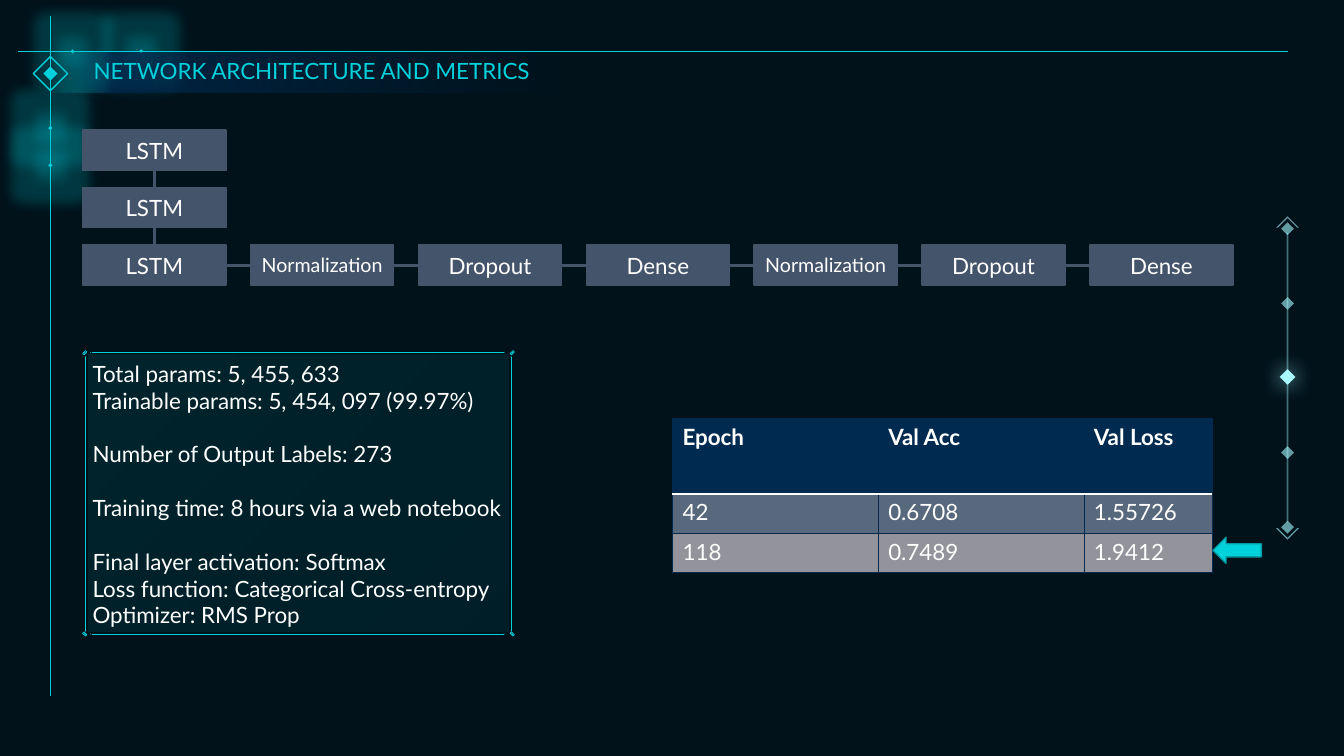
import pptx
import pptx.dml.color
import pptx.enum.shapes
import pptx.enum.text
import pptx.oxml
import pptx.oxml.ns
import pptx.util
from lxml import etree

Inches, Pt = pptx.util.Inches, pptx.util.Pt
qn = pptx.oxml.ns.qn
SHAPE = pptx.enum.shapes.MSO_SHAPE
ALIGN = pptx.enum.text.PP_ALIGN
ANCHOR = pptx.enum.text.MSO_ANCHOR

# Content
TITLE = "NETWORK ARCHITECTURE AND METRICS"
LSTM_STACK = ["LSTM", "LSTM", "LSTM"]
LAYER_CHAIN = ["Normalization", "Dropout", "Dense"] * 2
FACT_GROUPS = [
    ["Total params: 5, 455, 633", "Trainable params: 5, 454, 097 (99.97%)"],
    ["Number of Output Labels: 273"],
    ["Training time: 8 hours via a web notebook"],
    ["Final layer activation: Softmax",
     "Loss function: Categorical Cross-entropy",
     "Optimizer: RMS Prop"],
]
METRICS = [("Epoch", "Val Acc", "Val Loss"),
           ("42", "0.6708", "1.55726"),
           ("118", "0.7489", "1.9412")]
METRIC_COLUMNS = [2.04, 2.04, 1.27]
METRIC_ROWS = [0.75, 0.39, 0.39]

THEME = {
    "font": "Lato", "size": 16, "long_label_size": 14, "line_height": 19.2,
    "background": "01121B", "cyan": "00D2DB", "mark": "00D1DB", "ice": "A7F9FF",
    "layer": "44546A", "navy": "002A4F", "white": "FFFFFF", "text": "FEFFFE",
    "rows": ["002A4F", "58697D", "92939B"], "arrow_edge": "009BA2",
}

prs = pptx.Presentation()
prs.slide_width, prs.slide_height = Inches(13.33), Inches(7.5)
slide = prs.slides.add_slide(prs.slide_layouts[6])


def rgb(name):
    return pptx.dml.color.RGBColor.from_string(THEME.get(name, name))


def set_alpha(parent, percent):
    color = parent.find(".//" + qn("a:srgbClr"))
    etree.SubElement(color, qn("a:alpha"), val=str(percent * 1000))


def add_block(at, fill=None, line=None, width=1, kind=SHAPE.RECTANGLE, turn=0, alpha=100):
    block = slide.shapes.add_shape(kind, *map(Inches, at))
    block.rotation = turn
    block.shadow.inherit = False
    if fill:
        block.fill.solid()
        block.fill.fore_color.rgb = rgb(fill)
        if alpha < 100:
            set_alpha(block._element.spPr, alpha)
    else:
        block.fill.background()
    if line:
        block.line.color.rgb = rgb(line)
        block.line.width = Pt(width)
    else:
        block.line.fill.background()
    return block


def add_centered(x, y, w, h, **style):
    return add_block((x - w / 2, y - h / 2, w, h), **style)


def add_rule(start, end, color, width, alpha=100):
    rule = slide.shapes.add_connector(
        pptx.enum.shapes.MSO_CONNECTOR.STRAIGHT, *map(Inches, start + end))
    rule.line.color.rgb = rgb(color)
    rule.line.width = Pt(width)
    properties = rule._element.spPr
    if alpha < 100:
        set_alpha(properties, alpha)
    etree.SubElement(properties, qn("a:effectLst"))
    return rule


def add_effect(block, tag, color, alpha, **settings):
    effects = block._element.spPr.find(qn("a:effectLst"))
    effect = etree.SubElement(effects, qn(tag), **settings)
    etree.SubElement(effect, qn("a:srgbClr"), val=THEME[color])
    set_alpha(effect, alpha)


def set_gradient(block, stops, angle):
    properties = block._element.spPr
    gradient = etree.Element(qn("a:gradFill"), rotWithShape="1")
    stop_list = etree.SubElement(gradient, qn("a:gsLst"))
    for place, color, alpha in stops:
        stop = etree.SubElement(stop_list, qn("a:gs"), pos=str(place * 1000))
        etree.SubElement(stop, qn("a:srgbClr"), val=THEME[color])
        set_alpha(stop, alpha)
    etree.SubElement(gradient, qn("a:lin"), ang=str(angle * 60000), scaled="0")
    properties.replace(properties.find(qn("a:noFill")), gradient)


def write(paragraph, text, color, size=THEME["size"], bold=False, align=ALIGN.LEFT):
    paragraph.text = text
    paragraph.alignment = align
    font = paragraph.runs[0].font
    font.name, font.size, font.bold = THEME["font"], Pt(size), bold
    font.color.rgb = rgb(color)


slide.background.fill.solid()
slide.background.fill.fore_color.rgb = rgb("background")

# Progress rail on the right
RAIL_X, RAIL_TOP, RAIL_STEP, RAIL_STOPS = 12.77, 2.27, 0.74, 5
rail_bottom = RAIL_TOP + RAIL_STEP * (RAIL_STOPS - 1)
add_rule((RAIL_X, 2.31), (RAIL_X, 5.18), "ice", 1.25, 40)
for step in range(RAIL_STOPS):
    add_centered(RAIL_X, RAIL_TOP + RAIL_STEP * step, 0.09, 0.09,
                 fill="ice", turn=45, alpha=60)
for y, turn in ((RAIL_TOP - 0.01, 45), (rail_bottom + 0.01, 225)):
    chevron = add_centered(RAIL_X, y, 0.16, 0.16, fill="ice", turn=turn,
                           alpha=60, kind=SHAPE.HALF_FRAME)
    chevron.adjustments[0] = chevron.adjustments[1] = 0.076

# Header rules, glowing dots and diamond
add_rule((0.18, 0.51), (12.77, 0.51), "cyan", 1.25)
add_rule((0.5, 6.9), (0.5, 0.16), "cyan", 1.25)
for x, y in ((1.4, 0.51), (0.72, 0.51), (0.5, 1.27), (0.5, 1.64)):
    dot = add_centered(x, y, 0.03, 0.03, fill="mark", turn=315)
    add_effect(dot, "a:glow", "mark", 20, rad=str(Pt(18)))
add_centered(0.5, 0.73, 0.24, 0.24, line="mark", turn=45)
add_centered(0.5, 0.73, 0.1, 0.1, fill="mark", turn=45)

# Network layers, with their links behind
LAYER_X, LAYER_Y, LAYER_W, LAYER_H = 0.82, 1.29, 1.42, 0.4
STACK_STEP, CHAIN_STEP = 0.57, 1.665
chain_y = LAYER_Y + STACK_STEP * (len(LSTM_STACK) - 1)
chain_link = add_rule((2.24, 2.63), (10.81, 2.63), "layer", 2.25)
stack_link = add_rule((1.53, 1.69), (1.53, 2.43), "layer", 2.25)
layer_places = [(name, LAYER_X, LAYER_Y + STACK_STEP * i)
                for i, name in enumerate(LSTM_STACK)]
layer_places += [(name, LAYER_X + CHAIN_STEP * i, chain_y)
                 for i, name in enumerate(LAYER_CHAIN, 1)]
layers = []
for name, x, y in layer_places:
    layer = add_block((x, y, LAYER_W, LAYER_H), fill="layer", line="layer")
    layer.text_frame.vertical_anchor = ANCHOR.MIDDLE
    size = THEME["long_label_size" if len(name) > 10 else "size"]
    write(layer.text_frame.paragraphs[0], name, "white", size, align=ALIGN.CENTER)
    layers.append(layer)
last_lstm = layers[len(LSTM_STACK) - 1]
chain_link.begin_connect(last_lstm, 3)
chain_link.end_connect(layers[-1], 1)
stack_link.begin_connect(layers[0], 2)
stack_link.end_connect(last_lstm, 0)

# Framed model facts
panel = add_block((0.88, 3.52, 4.16, 2.75))
set_gradient(panel, [(0, "cyan", 10), (100, "cyan", 7)], 45)
for y, turn in ((3.5, 45), (6.29, 135)):
    add_rule((0.91, y), (5, y), "cyan", 0.5)
    for corner_x, end_x in ((0.84, 0.9), (5.08, 5)):
        add_centered(corner_x, y, 0.02, 0.04, line="mark", width=0.5, turn=turn)
        add_centered(corner_x, y, 0.01, 0.02, fill="mark", turn=turn)
        add_centered(end_x, y, 0.01, 0.01, fill="cyan")
for x in (0.85, 5.07):
    add_rule((x, 3.54), (x, 6.26), "cyan", 0.5)
    for y in (3.54, 6.26):
        add_centered(x, y, 0.01, 0.01, fill="cyan")

facts = slide.shapes.add_textbox(*map(Inches, (0.82, 3.52, 4.29, 2.79))).text_frame
facts.word_wrap = True
facts.text = "\n".join(line for group in FACT_GROUPS for line in group)
fact_paragraphs = iter(facts.paragraphs)
for group_number, group in enumerate(FACT_GROUPS):
    for line_number, fact in enumerate(group):
        paragraph = next(fact_paragraphs)
        write(paragraph, fact, "text")
        if group_number and line_number == 0:
            paragraph.space_before = Pt(THEME["line_height"])

# Title band
title = add_block((0.5, 0.52, 5.07, 0.4))
set_gradient(title, [(0, "mark", 0), (12, "navy", 78), (100, "navy", 0)], 0)
title_frame = title.text_frame
title_frame.word_wrap = True
title_frame.vertical_anchor = ANCHOR.MIDDLE
title_frame.margin_left, title_frame.margin_right = Inches(0.43), Inches(0.1)
title_frame.margin_top = title_frame.margin_bottom = Inches(0.08)
write(title_frame.paragraphs[0], TITLE, "mark")
title_frame.paragraphs[0].line_spacing = 0.9

# Validation metrics
metrics = slide.shapes.add_table(len(METRICS), len(METRIC_COLUMNS), *map(
    Inches, (6.67, 4.15, sum(METRIC_COLUMNS), sum(METRIC_ROWS)))).table
for column, width in zip(metrics.columns, METRIC_COLUMNS):
    column.width = Inches(width)
for r, record in enumerate(METRICS):
    metrics.rows[r].height = Inches(METRIC_ROWS[r])
    for c, value in enumerate(record):
        cell = metrics.cell(r, c)
        write(cell.text_frame.paragraphs[0], value, "text" if r else "white", bold=r == 0)
        cell.fill.solid()
        cell.fill.fore_color.rgb = rgb(THEME["rows"][r])
        for position, side in enumerate("LRTB"):
            under_header = (r, side) in ((0, "B"), (1, "T"))
            border = etree.Element(qn("a:ln" + side), w=str(Pt(1 if under_header else 0.5)))
            paint = etree.SubElement(border, qn("a:solidFill"))
            etree.SubElement(paint, qn("a:srgbClr"),
                             val=THEME["white" if under_header else "navy"])
            cell._tc.get_or_add_tcPr().insert(position, border)

# Best epoch pointer and current rail stop
add_block((12.03, 5.33, 0.48, 0.26), fill="cyan", line="arrow_edge", kind=SHAPE.LEFT_ARROW)
current_stop = add_centered(RAIL_X, 3.74, 0.11, 0.11, fill="ice", turn=45)
add_effect(current_stop, "a:outerShdw", "ice", 100, blurRad=str(Pt(15)), dist="0", dir="0")

prs.save("out.pptx")
